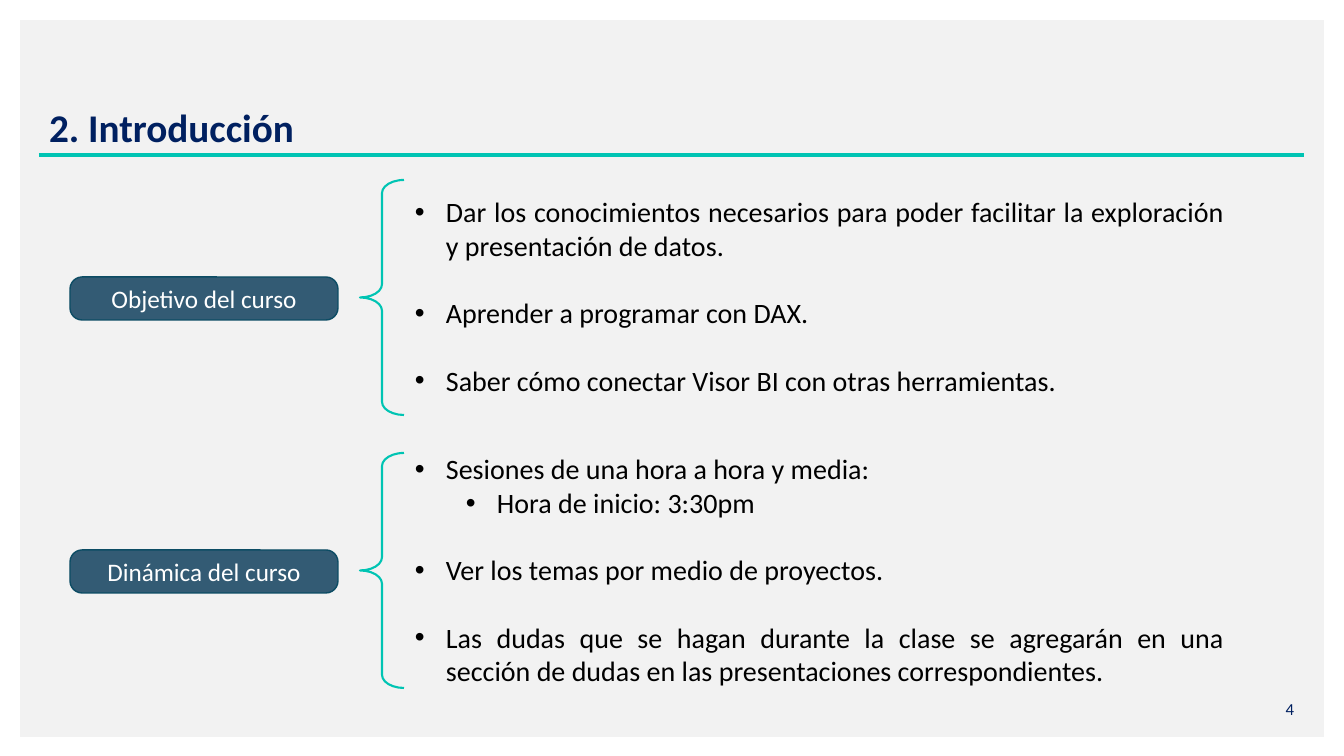
import pptx
import pptx.dml.color
import pptx.enum.shapes
import pptx.enum.text
import pptx.oxml.ns
import pptx.util
from lxml import etree

PX = 914400 / 100.8
NAVY, TEAL = "002060", "00C4B3"
ALIGN = pptx.enum.text.PP_ALIGN
ANCHOR = pptx.enum.text.MSO_ANCHOR
SHAPE = pptx.enum.shapes.MSO_SHAPE


def color(hex_code):
    return pptx.dml.color.RGBColor.from_string(hex_code)


def write(shape, *texts, size, font_color, bold=False, align=ALIGN.LEFT, anchor=ANCHOR.TOP):
    frame = shape.text_frame
    frame.word_wrap = True
    frame.auto_size = pptx.enum.text.MSO_AUTO_SIZE.NONE
    frame.vertical_anchor = anchor
    frame.text = "\n".join(texts)
    for paragraph in frame.paragraphs:
        paragraph.alignment = align
        font = paragraph.runs[0].font
        font.name = "Calibri"
        font.size = pptx.util.Pt(size)
        font.bold = bold
        font.color.rgb = color(font_color)
    return frame.paragraphs


presentation = pptx.Presentation()
presentation.slide_width = round(1344 * PX)
presentation.slide_height = round(756 * PX)
slide = presentation.slides.add_slide(presentation.slide_layouts[5])
shapes = slide.shapes

panel = shapes.add_shape(SHAPE.RECTANGLE, *[round(v * PX) for v in (20, 20, 1304, 717)])
panel.shadow.inherit = False
panel.fill.solid()
panel.fill.fore_color.rgb = color("F2F2F2")
panel.line.fill.background()

rule = shapes.add_connector(
    pptx.enum.shapes.MSO_CONNECTOR.STRAIGHT, *[round(v * PX) for v in (39, 155, 1304, 155)])
rule.line.color.rgb = color(TEAL)
rule.line.width = pptx.util.Pt(2.25)
etree.SubElement(rule._element.spPr, pptx.oxml.ns.qn("a:effectLst"))

title = shapes.title
title.left, title.top, title.width, title.height = [round(v * PX) for v in (39, 95, 1265, 61)]
heading = write(title, "2. Introducción", size=28, font_color=NAVY, bold=True, anchor=ANCHOR.BOTTOM)
heading[0].line_spacing = 0.9
rule._element.addnext(title._element)

page_number = shapes.add_textbox(*[round(v * PX) for v in (1002, 689, 302, 40)])
write(page_number, "4", size=12, font_color=NAVY, align=ALIGN.RIGHT, anchor=ANCHOR.MIDDLE)

sections = [
    ("Objetivo del curso", 180, 190, 214, [
        (0, 0, "Dar los conocimientos necesarios para poder facilitar la exploración y presentación de datos."),
        (0, 24, "Aprender a programar con DAX."),
        (0, 24, "Saber cómo conectar Visor BI con otras herramientas."),
    ]),
    ("Dinámica del curso", 453, 447, 248, [
        (0, 0, "Sesiones de una hora a hora y media:"),
        (1, 0, "Hora de inicio: 3:30pm"),
        (0, 24, "Ver los temas por medio de proyectos."),
        (0, 24, "Las dudas que se hagan durante la clase se agregarán en una sección de dudas "
                "en las presentaciones correspondientes."),
    ]),
]

for label, brace_top, list_top, list_height, items in sections:
    button = shapes.add_shape(
        SHAPE.ROUNDED_RECTANGLE, *[round(v * PX) for v in (70, brace_top + 97, 268, 43)])
    button.shadow.inherit = False
    button.adjustments[0] = 0.28
    button.fill.solid()
    button.fill.fore_color.rgb = color("335B74")
    button.line.color.rgb = color("0C4C64")
    button.line.width = pptx.util.Pt(1)
    write(button, label, size=18, font_color="FFFFFF", align=ALIGN.CENTER, anchor=ANCHOR.MIDDLE)

    brace = shapes.add_shape(SHAPE.LEFT_BRACE, *[round(v * PX) for v in (360, brace_top, 44, 235)])
    brace.shadow.inherit = False
    brace.adjustments[0] = 0.3
    brace.fill.background()
    brace.line.color.rgb = color(TEAL)
    brace.line.width = pptx.util.Pt(1.5)

    item_list = shapes.add_textbox(*[round(v * PX) for v in (405, list_top, 829, list_height)])
    paragraphs = write(item_list, *[text for level, gap, text in items],
                       size=20, font_color="000000", align=ALIGN.JUSTIFY)
    for paragraph, (level, gap, text) in zip(paragraphs, items):
        paragraph.level = level
        paragraph.space_before = pptx.util.Pt(gap)
        properties = paragraph._p.get_or_add_pPr()
        properties.set("marL", str(round((31 + 51 * level) * PX)))
        properties.set("indent", str(round(-31 * PX)))
        etree.SubElement(properties, pptx.oxml.ns.qn("a:buFont"), typeface="Arial")
        etree.SubElement(properties, pptx.oxml.ns.qn("a:buChar"), char="•")

presentation.save("out.pptx")
